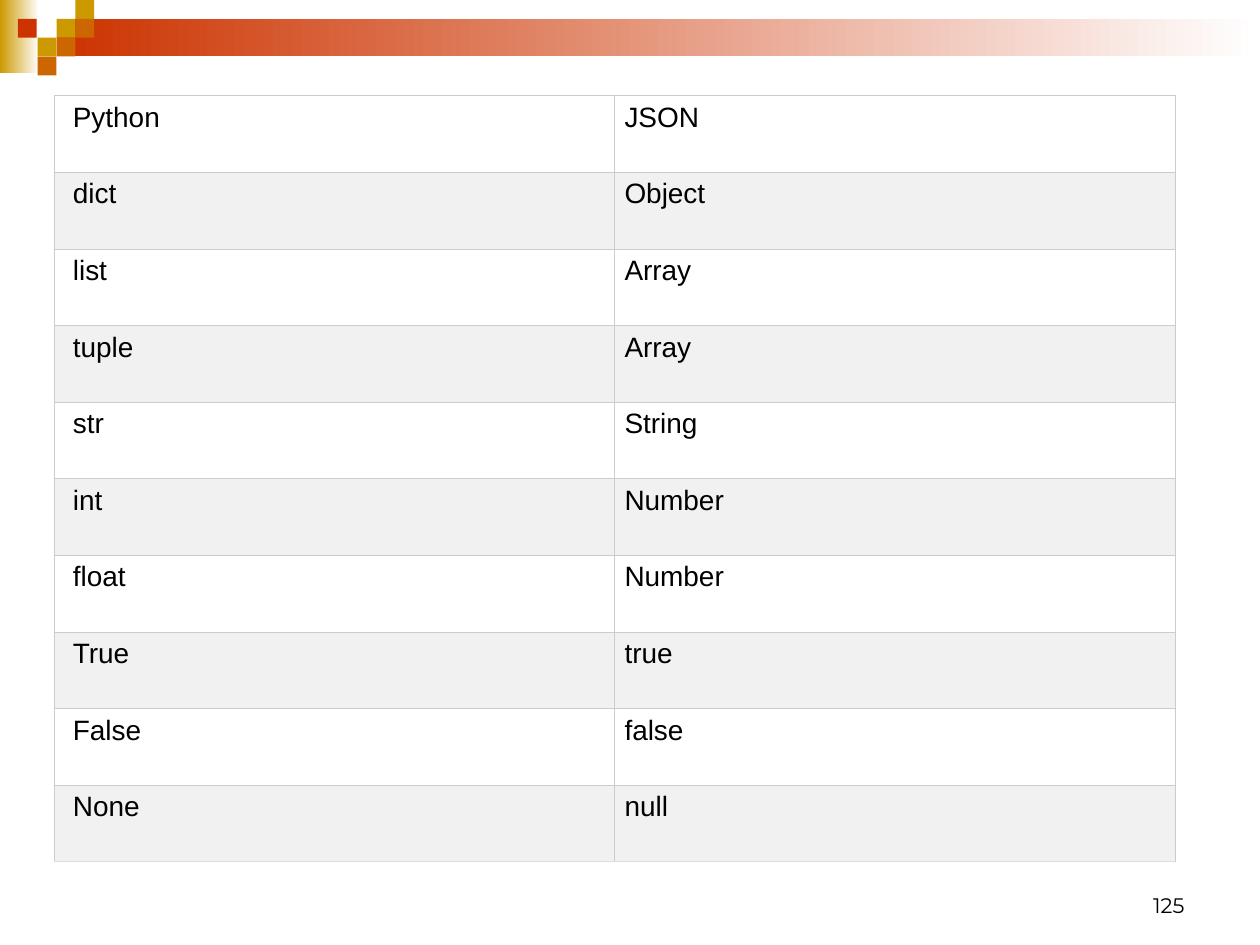
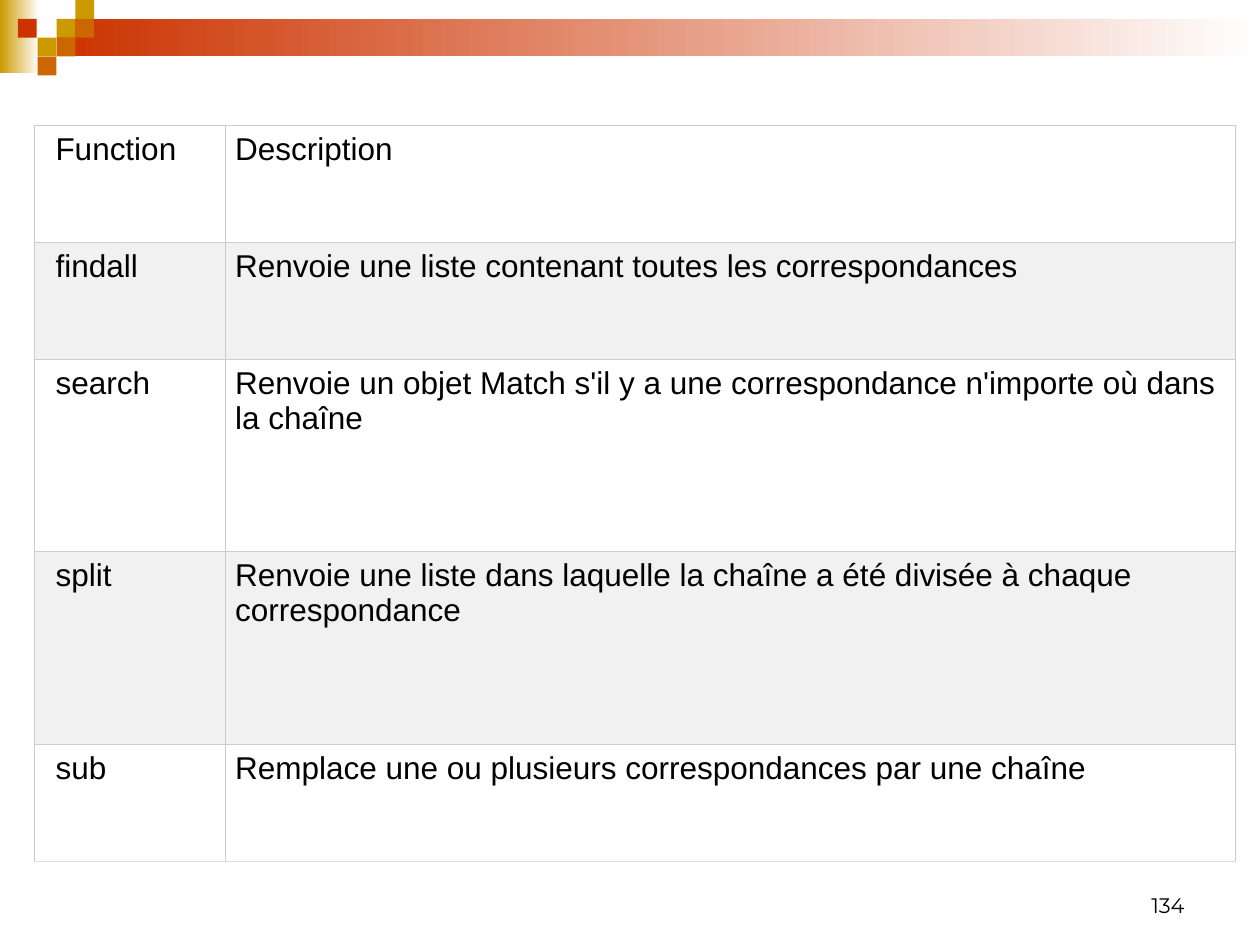
from lxml.etree import SubElement
from pptx import Presentation
from pptx.dml.color import RGBColor as RGB
from pptx.enum.shapes import MSO_SHAPE as Preset
from pptx.enum.text import MSO_ANCHOR as Anchor, PP_ALIGN as Align
from pptx.oxml import parse_xml
from pptx.oxml.ns import nsdecls, qn
from pptx.util import Cm, Pt

COLORS = {
    "gold": "CC9900", "red": "CC3300", "orange": "CC6600",
    "white": "FFFFFF", "stripe": "F1F1F1", "text": "000000",
    "rule": "CCCCCC", "last_rule": "DDDDDD",
}
SQUARE = 0.38
SQUARE_LEFTS = (0.36, 0.76, 1.14, 1.52)
BANDS = [("gold", 0, 0, 0.79, 1.47), ("red", 1.14, SQUARE, 24.26, 0.76)]
# colour, column, row
MOSAIC = [
    ("gold", 2, 1), ("gold", 3, 0), ("orange", 3, 1), ("gold", 1, 2),
    ("red", 0, 1), ("orange", 2, 2), ("orange", 1, 3),
]
RULE_WIDTH = Pt(0.34)

PAGES = [
    {
        "number": "125", "left": 1.09, "top": 1.93, "size": 16, "indent": 0.38,
        "widths": [11.3, 11.3], "heights": [1.544] * 10,
        "rows": [
            ("Python", "JSON"), ("dict", "Object"), ("list", "Array"),
            ("tuple", "Array"), ("str", "String"), ("int", "Number"),
            ("float", "Number"), ("True", "true"), ("False", "false"),
            ("None", "null"),
        ],
    },
    {
        "number": "134", "left": 0.69, "top": 2.52, "size": 18, "indent": 0.43,
        "widths": [3.85, 20.37], "heights": [2.36, 2.36, 3.88, 3.88, 2.36],
        "rows": [
            ("Function", "Description"),
            ("findall", "Renvoie une liste contenant toutes les correspondances"),
            ("search", "Renvoie un objet Match s'il y a une correspondance "
                       "n'importe où dans la chaîne"),
            ("split", "Renvoie une liste dans laquelle la chaîne a été divisée "
                      "à chaque correspondance"),
            ("sub", "Remplace une ou plusieurs correspondances par une chaîne"),
        ],
    },
]


def write(frame, text, font_name, size):
    paragraph = frame.paragraphs[0]
    run = paragraph.add_run()
    run.text = text
    for name, value in {"name": font_name, "size": Pt(size)}.items():
        setattr(run.font, name, value)
    run.font.color.rgb = RGB.from_string(COLORS["text"])
    return paragraph


def add_block(slide, left, top, width, height):
    """Add a rectangle without outline or shadow and return its fill."""
    block = slide.shapes.add_shape(
        Preset.RECTANGLE, Cm(left), Cm(top), Cm(width), Cm(height))
    block.shadow.inherit = False
    block.line.fill.background()
    return block.fill


deck = Presentation()
deck.slide_width, deck.slide_height = Cm(25.4), Cm(19.05)

for page in PAGES:
    slide = deck.slides.add_slide(deck.slide_layouts[6])

    # Header bands and mosaic
    for color, *place in BANDS:
        fill = add_block(slide, *place)
        fill.gradient()
        fill.gradient_angle = 0
        for stop, name in zip(fill.gradient_stops, (color, "white")):
            stop.color.rgb = RGB.from_string(COLORS[name])
    for color, column, row in MOSAIC:
        fill = add_block(slide, SQUARE_LEFTS[column], row * SQUARE, SQUARE, SQUARE)
        fill.solid()
        fill.fore_color.rgb = RGB.from_string(COLORS[color])

    # Correspondence table
    rows, widths, heights = page["rows"], page["widths"], page["heights"]
    table = slide.shapes.add_table(
        len(rows), len(widths), Cm(page["left"]), Cm(page["top"]),
        Cm(sum(widths)), Cm(sum(heights))).table
    table.first_row = table.horz_banding = False
    for column, width in zip(table.columns, widths):
        column.width = Cm(width)
    for r, (entries, height) in enumerate(zip(rows, heights)):
        table.rows[r].height = Cm(height)
        for c, entry in enumerate(entries):
            cell = table.cell(r, c)
            margins = {
                "margin_left": page["indent"] if c == 0 else 0.2,
                "margin_right": 0.2, "margin_top": 0.13, "margin_bottom": 0.13,
            }
            for name, value in margins.items():
                setattr(cell, name, Cm(value))
            write(cell.text_frame, entry, "Arial", page["size"])
            cell.fill.solid()
            cell.fill.fore_color.rgb = RGB.from_string(
                COLORS["stripe" if r % 2 else "white"])
            properties = cell._tc.get_or_add_tcPr()
            for position, side in enumerate("LRTB"):
                is_last = side == "B" and r == len(rows) - 1
                border = parse_xml(f'<a:ln{side} {nsdecls("a")} w="{RULE_WIDTH}"/>')
                solid = SubElement(border, qn("a:solidFill"))
                SubElement(solid, qn("a:srgbClr"),
                           val=COLORS["last_rule" if is_last else "rule"])
                properties.insert(position, border)

    # Page number
    footer = slide.shapes.add_textbox(Cm(18.21), Cm(17.35), Cm(5.92), Cm(1.27)).text_frame
    for name, value in {"word_wrap": True, "vertical_anchor": Anchor.BOTTOM}.items():
        setattr(footer, name, value)
    write(footer, page["number"], "Montserrat", 12).alignment = Align.RIGHT

deck.save("out.pptx")
